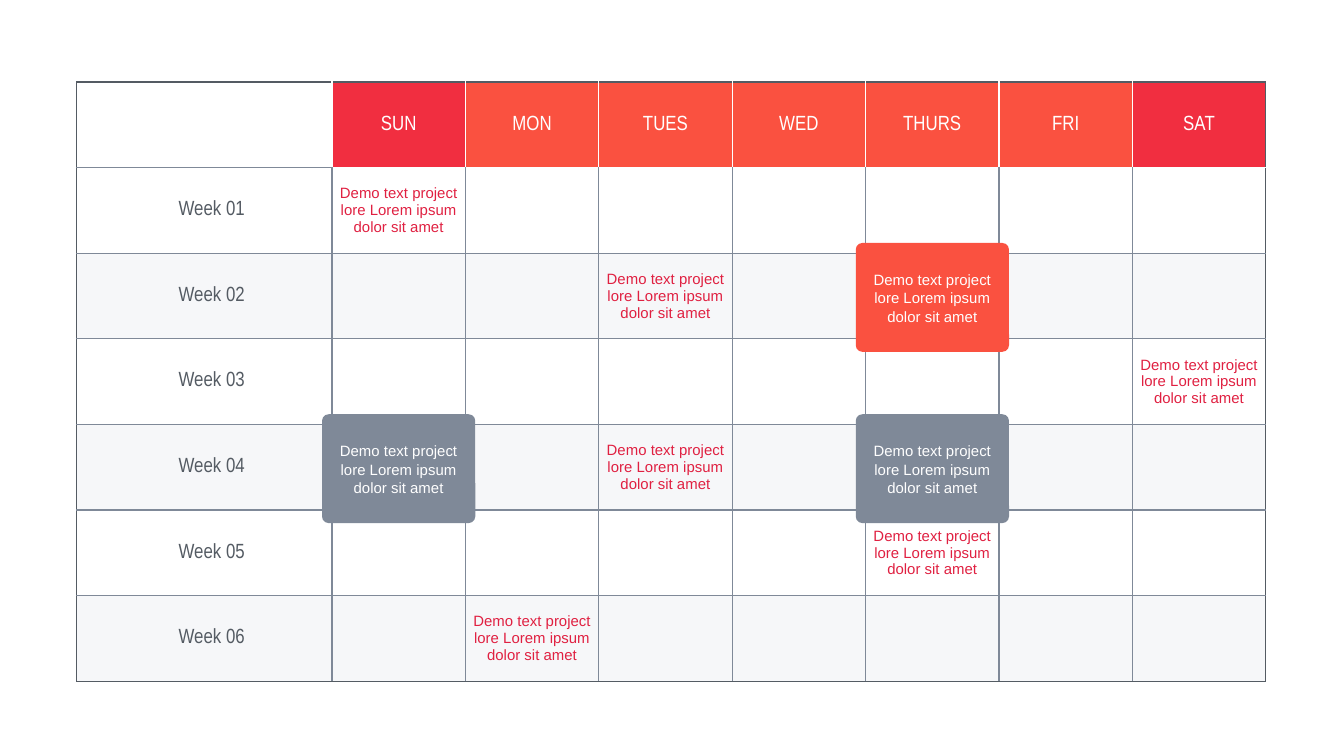
from dataclasses import dataclass

from lxml import etree
from pptx import Presentation
from pptx.dml.color import RGBColor
from pptx.enum.shapes import MSO_SHAPE
from pptx.enum.text import MSO_ANCHOR, PP_ALIGN
from pptx.oxml.ns import qn
from pptx.slide import Slide
from pptx.table import _Cell
from pptx.text.text import TextFrame
from pptx.util import Inches, Pt

ROUNDED = MSO_SHAPE.ROUNDED_RECTANGLE
MIDDLE = MSO_ANCHOR.MIDDLE
CENTER = PP_ALIGN.CENTER


@dataclass(frozen=True)
class Theme:
    white: str = "FFFFFF"
    weekend: str = "F12E40"
    weekday: str = "FA5140"
    event: str = "E02041"
    dark: str = "545B63"
    gray: str = "7F8998"
    band: str = "EEF0F4"
    band_opacity: int = 50
    label_font: str = "Arial Narrow"
    note_font: str = "Arial"
    label_size: float = 11
    note_size: float = 8
    border: float = 0.75


@dataclass(frozen=True)
class Card:
    week: int
    day: int
    color: str


THEME = Theme()
DAYS = ["SUN", "MON", "TUES", "WED", "THURS", "FRI", "SAT"]
WEEKS = 6
NOTE = "Demo text project lore Lorem ipsum dolor sit amet"
# (week, day) pairs, both counted from 1
EVENTS = {(1, 1), (2, 3), (3, 7), (4, 3), (5, 5), (6, 2)}
CARDS = [
    Card(2, 5, THEME.weekday),
    Card(4, 1, THEME.gray),
    Card(4, 5, THEME.gray),
]

SLIDE_WIDTH = Inches(10)
SLIDE_HEIGHT = SLIDE_WIDTH * 9 // 16
LEFT, TOP = Inches(0.57), Inches(0.61)
WIDTH, HEIGHT = Inches(8.85), Inches(4.46)
LABEL_WIDTH = Inches(1.9)
DAY_WIDTH = (WIDTH - LABEL_WIDTH) // len(DAYS)
ROW_HEIGHT = HEIGHT // (WEEKS + 1)
CARD_WIDTH, CARD_HEIGHT = Inches(1.14), Inches(0.81)
CARD_DROP = Inches(0.01)
CARD_INSET = Inches(0.02)


def write(frame: TextFrame, text: str, *, color: str, size: float,
          font: str, spacing: float = 1.0) -> None:
    frame.word_wrap = True
    paragraph = frame.paragraphs[0]
    paragraph.alignment = CENTER
    paragraph.line_spacing = spacing
    run = paragraph.add_run()
    run.text = text
    run.font.size = Pt(size)
    run.font.name = font
    run.font.color.rgb = RGBColor.from_string(color)


def set_fill(cell: _Cell, week: int, day: int) -> None:
    if week and week % 2 == 0:
        cell.fill.solid()
        cell.fill.fore_color.rgb = RGBColor.from_string(THEME.band)
        tint = cell._tc.tcPr.find(f".//{qn('a:srgbClr')}")
        alpha = etree.SubElement(tint, qn("a:alpha"))
        alpha.set("val", str(THEME.band_opacity * 1000))
    elif week == 0 and day:
        cell.fill.solid()
        color = THEME.weekend if day in (1, len(DAYS)) else THEME.weekday
        cell.fill.fore_color.rgb = RGBColor.from_string(color)
    else:
        cell.fill.background()


def border_colors(week: int, day: int) -> dict[str, str]:
    """Dark outside edges, white lines around day names, gray elsewhere."""
    header = week == 0
    side = THEME.white if header else THEME.gray
    top = THEME.white if week == 1 and day else THEME.gray
    bottom = THEME.white if header and day else THEME.gray
    return {
        "a:lnL": THEME.dark if day == 0 else side,
        "a:lnR": THEME.dark if day == len(DAYS) else side,
        "a:lnT": THEME.dark if header else top,
        "a:lnB": THEME.dark if week == WEEKS else bottom,
    }


def set_borders(cell: _Cell, colors: dict[str, str]) -> None:
    properties = cell._tc.get_or_add_tcPr()
    for position, (edge, color) in enumerate(colors.items()):
        line = etree.Element(qn(edge), w=str(Pt(THEME.border)))
        fill = etree.SubElement(line, qn("a:solidFill"))
        etree.SubElement(fill, qn("a:srgbClr"), val=color)
        properties.insert(position, line)


def fill_cell(cell: _Cell, week: int, day: int) -> None:
    cell.vertical_anchor = MIDDLE
    cell.margin_left = Inches(0.15 if week and day == 0 else 0.04)
    cell.margin_right = Inches(0.04)
    cell.margin_top = cell.margin_bottom = Inches(0.02)
    set_fill(cell, week, day)
    set_borders(cell, border_colors(week, day))
    if week == 0 and day:
        write(cell.text_frame, DAYS[day - 1], color=THEME.white,
              size=THEME.label_size, font=THEME.label_font)
    elif week and day == 0:
        write(cell.text_frame, f"Week {week:02}", color=THEME.dark,
              size=THEME.label_size, font=THEME.label_font)
    elif (week, day) in EVENTS:
        write(cell.text_frame, NOTE, color=THEME.event,
              size=THEME.note_size, font=THEME.note_font)


def add_calendar(slide: Slide) -> None:
    calendar = slide.shapes.add_table(
        WEEKS + 1, len(DAYS) + 1, LEFT, TOP, WIDTH, HEIGHT).table
    calendar.first_row = False
    calendar.horz_banding = False
    for day, column in enumerate(calendar.columns):
        column.width = DAY_WIDTH if day else LABEL_WIDTH
    for week, row in enumerate(calendar.rows):
        row.height = ROW_HEIGHT
        for day, cell in enumerate(row.cells):
            fill_cell(cell, week, day)


def add_card(slide: Slide, card: Card) -> None:
    """Centre a card over its day cell, a touch below the middle."""
    day_left = LEFT + LABEL_WIDTH + (card.day - 1) * DAY_WIDTH
    week_top = TOP + card.week * ROW_HEIGHT
    box = slide.shapes.add_shape(
        ROUNDED,
        day_left + (DAY_WIDTH - CARD_WIDTH) // 2,
        week_top + (ROW_HEIGHT - CARD_HEIGHT) // 2 + CARD_DROP,
        CARD_WIDTH, CARD_HEIGHT)
    box.adjustments[0] = 0.06
    box.shadow.inherit = False
    box.fill.solid()
    box.fill.fore_color.rgb = RGBColor.from_string(card.color)
    box.line.fill.background()
    frame = box.text_frame
    frame.vertical_anchor = MIDDLE
    frame.margin_left = frame.margin_right = CARD_INSET
    frame.margin_top = frame.margin_bottom = CARD_INSET
    write(frame, NOTE, color=THEME.white, size=THEME.note_size,
          font=THEME.note_font, spacing=1.05)


def main() -> None:
    presentation = Presentation()
    presentation.slide_width = SLIDE_WIDTH
    presentation.slide_height = SLIDE_HEIGHT
    slide = presentation.slides.add_slide(presentation.slide_layouts[6])
    add_calendar(slide)
    for card in CARDS:
        add_card(slide, card)
    presentation.save("out.pptx")


if __name__ == "__main__":
    main()
